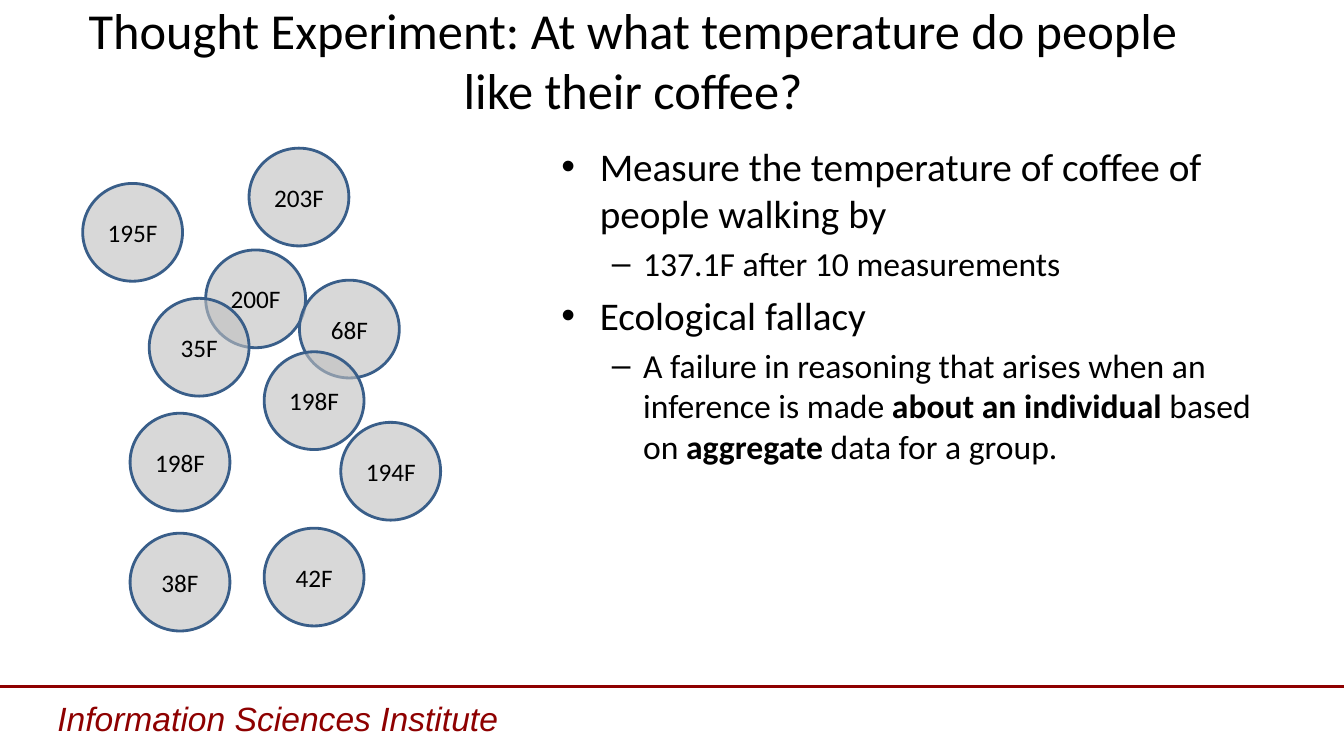
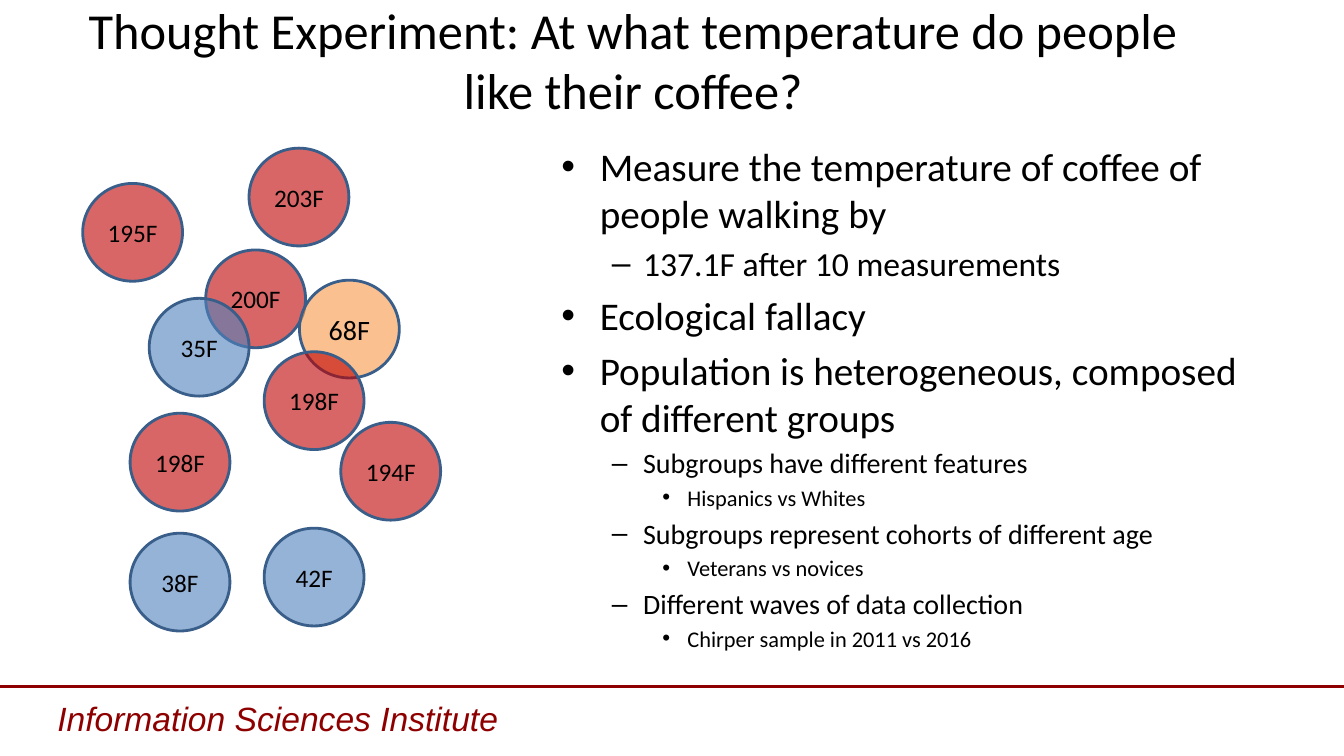
"""Build two slides on the coffee temperature thought experiment."""
from dataclasses import dataclass
from typing import Optional

from lxml.etree import SubElement
from pptx import Presentation
from pptx.dml.color import RGBColor
from pptx.enum.shapes import MSO_CONNECTOR, MSO_SHAPE
from pptx.enum.text import MSO_ANCHOR, PP_ALIGN
from pptx.oxml.ns import qn
from pptx.slide import Slide
from pptx.text.text import TextFrame, _Paragraph
from pptx.util import Inches, Pt


@dataclass(frozen=True)
class Theme:
    ink: str = "000000"
    institute: str = "8E0000"
    outline: str = "395E89"
    neutral: str = "BFBFBF"
    hot: str = "C00000"
    warm: str = "F79646"
    cold: str = "4F81BD"
    opacity: int = 60
    body_font: str = "Calibri"
    footer_font: str = "Arial"
    title_size: int = 36
    footer_size: int = 24
    cup_size: int = 18
    warm_cup_size: int = 20


@dataclass(frozen=True)
class Level:
    mark: str
    margin: float
    hanging: float


@dataclass(frozen=True)
class Point:
    text: str
    level: int = 0
    size: int = 28


@dataclass(frozen=True)
class Cup:
    left: float
    top: float
    degrees: int


THEME = Theme()
SLIDE_WIDTH, SLIDE_HEIGHT = 13.33, 7.5
FOOTER_RULE_TOP = 6.81
CUP_WIDTH, CUP_HEIGHT = 0.99, 0.97
SPACE_BEFORE_RATIO = 0.2
TITLE = "Thought Experiment: At what temperature do people like their coffee?"
INSTITUTE = "Information Sciences Institute"

LEVELS = (
    Level("•", 0.38, 0.38),
    Level("–", 0.81, 0.31),
    Level("•", 1.25, 0.25),
)

CUPS = (
    Cup(2.04, 2.48, 200),
    Cup(2.97, 2.78, 68),
    Cup(0.82, 1.82, 195),
    Cup(1.29, 4.1, 198),
    Cup(2.47, 1.47, 203),
    Cup(2.62, 3.49, 198),
    Cup(1.29, 5.29, 38),
    Cup(1.48, 2.96, 35),
    Cup(2.62, 5.24, 42),
    Cup(3.38, 4.19, 194),
)

SHARED_POINTS = (
    Point("Measure the temperature of coffee of people walking by"),
    Point("137.1F after 10 measurements", 1, 24),
    Point("Ecological fallacy"),
)
FALLACY_POINTS = (
    Point(
        "A failure in reasoning that arises when an inference is made "
        "**about an individual **based on **aggregate** data for a group.",
        1,
        24,
    ),
)
SUBGROUP_POINTS = (
    Point("Population is heterogeneous, composed of different groups"),
    Point("Subgroups have different features", 1, 20),
    Point("Hispanics vs Whites", 2, 16),
    Point("Subgroups represent cohorts of different age", 1, 20),
    Point("Veterans vs novices", 2, 16),
    Point("Different waves of data collection", 1, 20),
    Point("Chirper sample in 2011 vs 2016", 2, 16),
)


def rgb(value: str) -> RGBColor:
    return RGBColor.from_string(value)


def write(
    paragraph: _Paragraph,
    text: str,
    *,
    size: float,
    font: str = THEME.body_font,
    color: str = THEME.ink,
    italic: bool = False,
    align: Optional[PP_ALIGN] = None,
) -> None:
    if align is not None:
        paragraph.alignment = align
    for index, part in enumerate(text.split("**")):
        run = paragraph.add_run()
        run.text = part
        run.font.name = font
        run.font.size = Pt(size)
        run.font.color.rgb = rgb(color)
        run.font.italic = italic
        run.font.bold = index % 2 == 1


def add_frame(slide: Slide, left: float, top: float, width: float, height: float) -> TextFrame:
    box = slide.shapes.add_textbox(Inches(left), Inches(top), Inches(width), Inches(height))
    box.text_frame.word_wrap = True
    return box.text_frame


def add_bullet(paragraph: _Paragraph, level: Level) -> None:
    properties = paragraph._p.get_or_add_pPr()
    properties.set("marL", str(Inches(level.margin)))
    properties.set("indent", str(-Inches(level.hanging)))
    bullet_color = SubElement(properties, qn("a:buClr"))
    SubElement(bullet_color, qn("a:srgbClr"), val=THEME.ink)
    SubElement(properties, qn("a:buFont"), typeface=THEME.footer_font)
    SubElement(properties, qn("a:buChar"), char=level.mark)


def add_points(slide: Slide, points: tuple[Point, ...]) -> None:
    frame = add_frame(slide, 5.47, 1.36, 7.19, 5.34)
    for index, point in enumerate(points):
        paragraph = frame.add_paragraph() if index else frame.paragraphs[0]
        paragraph.level = point.level
        add_bullet(paragraph, LEVELS[point.level])
        if index:
            paragraph.space_before = Pt(point.size * SPACE_BEFORE_RATIO)
        write(paragraph, point.text, size=point.size)


def add_footer(slide: Slide) -> None:
    rule = slide.shapes.add_connector(
        MSO_CONNECTOR.STRAIGHT,
        Inches(0),
        Inches(FOOTER_RULE_TOP),
        Inches(SLIDE_WIDTH),
        Inches(FOOTER_RULE_TOP),
    )
    rule.line.color.rgb = rgb(THEME.institute)
    rule.line.width = Pt(2.25)
    SubElement(rule._element.spPr, qn("a:effectLst"))
    write(
        add_frame(slide, 0.47, 6.87, 6.57, 0.51).paragraphs[0],
        INSTITUTE,
        size=THEME.footer_size,
        font=THEME.footer_font,
        color=THEME.institute,
        italic=True,
    )


def add_title(slide: Slide) -> None:
    frame = add_frame(slide, 0.67, 0.24, 11.22, 0.7)
    frame.vertical_anchor = MSO_ANCHOR.MIDDLE
    write(frame.paragraphs[0], TITLE, size=THEME.title_size, align=PP_ALIGN.CENTER)


def group_color(degrees: int) -> str:
    if degrees > 150:
        return THEME.hot
    return THEME.warm if degrees > 50 else THEME.cold


def add_cup(slide: Slide, cup: Cup, grouped: bool) -> None:
    color = group_color(cup.degrees) if grouped else THEME.neutral
    circle = slide.shapes.add_shape(
        MSO_SHAPE.OVAL, Inches(cup.left), Inches(cup.top), Inches(CUP_WIDTH), Inches(CUP_HEIGHT)
    )
    circle.shadow.inherit = False
    circle.fill.solid()
    circle.fill.fore_color.rgb = rgb(color)
    tint = circle._element.spPr.find(qn("a:solidFill")).find(qn("a:srgbClr"))
    SubElement(tint, qn("a:alpha"), val=str(THEME.opacity * 1000))
    circle.line.color.rgb = rgb(THEME.outline)
    circle.line.width = Pt(2)
    frame = circle.text_frame
    frame.vertical_anchor = MSO_ANCHOR.MIDDLE
    size = THEME.warm_cup_size if color == THEME.warm else THEME.cup_size
    write(frame.paragraphs[0], f"{cup.degrees}F", size=size, align=PP_ALIGN.CENTER)


def add_experiment(deck: Presentation, points: tuple[Point, ...], grouped: bool) -> None:
    slide = deck.slides.add_slide(deck.slide_layouts[6])
    add_footer(slide)
    add_title(slide)
    add_points(slide, SHARED_POINTS + points)
    for cup in CUPS:
        add_cup(slide, cup, grouped)


def main() -> None:
    deck = Presentation()
    deck.slide_width = Inches(SLIDE_WIDTH)
    deck.slide_height = Inches(SLIDE_HEIGHT)
    add_experiment(deck, FALLACY_POINTS, grouped=False)
    add_experiment(deck, SUBGROUP_POINTS, grouped=True)
    deck.save("out.pptx")


if __name__ == "__main__":
    main()
